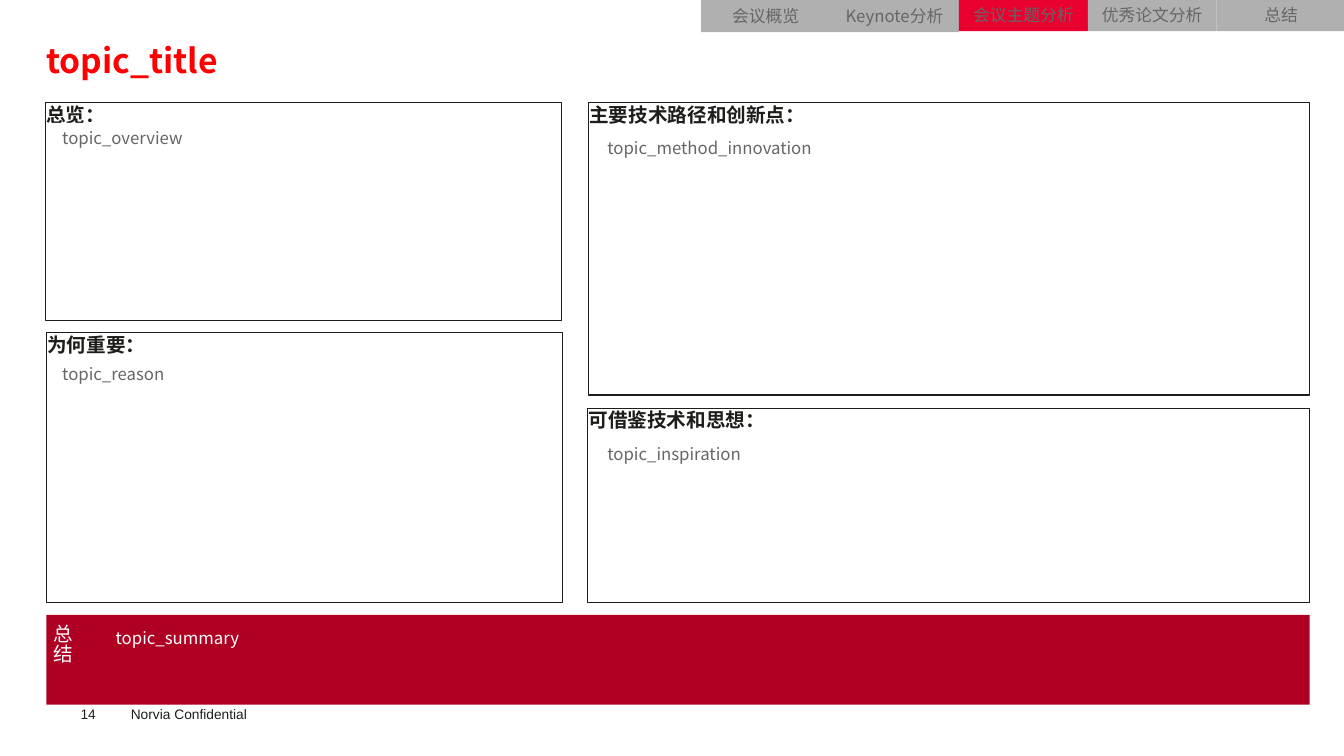
"""Build a conference topic analysis slide with four panels and a summary band."""
import pptx
import pptx.util
import pptx.dml.color
import pptx.enum.shapes
import pptx.enum.text
import pptx.oxml.ns
from lxml import etree

Pt = pptx.util.Pt
ALIGN = pptx.enum.text.PP_ALIGN
ANCHOR = pptx.enum.text.MSO_ANCHOR

COLORS = {
    "ink": "1D1D1A", "foot": "1D1D1B", "gray": "666666", "white": "FFFFFF",
    "title": "FF0000", "live": "EA002F", "tab": "B0B0B0", "band": "AF0023",
}
SANS = "Noto Sans CJK SC"
INSET = (7.2, 3.6, 7.2, 3.6)
NONE = (0, 0, 0, 0)

FOOTER = [
    ("Norvia Confidential", (86.4, 500.4, 115.2, 19.4), INSET),
    ("14", (57.6, 504, 39.6, 11.5), NONE),
]
TITLE = ("topic_title", (33.1, 23, 902.9, 41.8))
PANELS = [
    ("总览：", (32.4, 73.4, 368.6, 155.5),
     "topic_overview", (37.4, 87.8, 356.4, 134.6)),
    ("为何重要：", (33.1, 237.6, 368.6, 193),
     "topic_reason", (37.4, 256.3, 360, 168.5)),
    ("主要技术路径和创新点：", (420.5, 73.4, 515.5, 208.8),
     "topic_method_innovation", (427, 95, 501.1, 181.4)),
    ("可借鉴技术和思想：", (419.8, 291.6, 516.2, 139),
     "topic_inspiration", (427, 313.2, 501.1, 111.6)),
]
TABS = [
    ("会议概览", 0), ("Keynote分析", 0), ("会议主题分析", -0.7),
    ("优秀论文分析", -0.7), ("总结", -0.7),
]
LIVE = "会议主题分析"
TAB_LEFT, TAB_WIDE, TAB_HIGH = 501.1, 92.1, 23
BAND = ("总结", (33.1, 439.2, 902.9, 64.1))
SUMMARY = ("topic_summary", (75.6, 445, 853.9, 52.6))


def tint(name):
    return pptx.dml.color.RGBColor.from_string(COLORS[name])


def write(shape, text, size, color, font=SANS, bold=False, inset=INSET,
          align=ALIGN.LEFT, anchor=ANCHOR.TOP):
    frame = shape.text_frame
    frame.text = text
    frame.word_wrap = True
    frame.vertical_anchor = anchor
    (frame.margin_left, frame.margin_top,
     frame.margin_right, frame.margin_bottom) = map(Pt, inset)
    para = frame.paragraphs[0]
    para.alignment = align
    run = para.runs[0]
    run.font.size = Pt(size)
    run.font.bold = bold
    run.font.name = font
    run.font.color.rgb = tint(color)
    props = run.font._element
    east = etree.SubElement(props, pptx.oxml.ns.qn("a:ea"))
    east.set("typeface", font)
    return para


def add_label(slide, text, place, size, color, **style):
    box = slide.shapes.add_textbox(*map(Pt, place))
    return write(box, text, size, color, **style)


def add_rect(slide, place, fill=None, line=None):
    kind = pptx.enum.shapes.MSO_SHAPE.RECTANGLE
    rect = slide.shapes.add_shape(kind, *map(Pt, place))
    rect.shadow.inherit = False
    if fill:
        rect.fill.solid()
        rect.fill.fore_color.rgb = tint(fill)
    else:
        rect.fill.background()
    if line:
        rect.line.color.rgb = tint(line)
        rect.line.width = Pt(0.75)
    else:
        rect.line.fill.background()
    return rect


def main():
    deck = pptx.Presentation()
    deck.slide_width, deck.slide_height = Pt(960.48), Pt(540)
    slide = deck.slides.add_slide(deck.slide_layouts[6])

    for text, place, inset in FOOTER:
        add_label(slide, text, place, 9.8, "foot", font="Arial", inset=inset)
    title = add_label(slide, *TITLE, 24, "title", bold=True, inset=NONE)
    title.line_spacing = Pt(34.3)

    for head, frame, body, area in PANELS:
        write(add_rect(slide, frame, line="ink"), head, 14, "ink",
              bold=True, inset=(0.7, 0, 0, 0))
        write(add_rect(slide, area, fill="white"), body, 12, "gray")

    for i, (text, top) in enumerate(TABS):
        place = (TAB_LEFT + i * TAB_WIDE, top, TAB_WIDE, TAB_HIGH)
        tab = add_rect(slide, place, fill="live" if text == LIVE else "tab")
        write(tab, text, 12, "gray", align=ALIGN.CENTER, anchor=ANCHOR.MIDDLE)

    text, place = BAND
    band = add_rect(slide, place, fill="band")
    write(band, text, 14, "white", inset=(7.2, 7, 7.2, 3.6),
          anchor=ANCHOR.BOTTOM)
    band.text_frame._txBody.bodyPr.set("vert", "eaVert")
    add_label(slide, *SUMMARY, 12, "white")

    deck.save("out.pptx")


if __name__ == "__main__":
    main()
